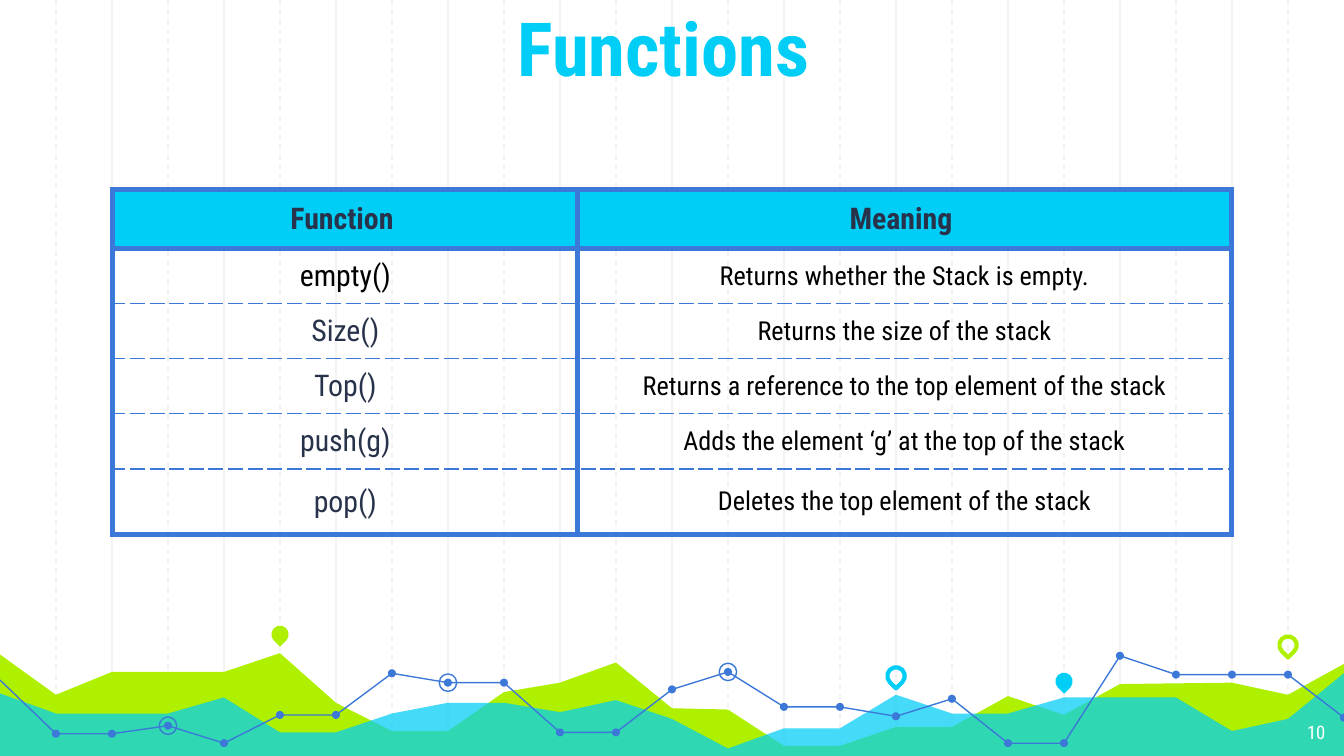
"""Build the Functions slide: a table of stack functions over a chart-like landscape."""
from lxml.etree import SubElement
from pptx import Presentation
from pptx.dml.color import RGBColor
from pptx.enum.dml import MSO_LINE
from pptx.enum.shapes import MSO_CONNECTOR, MSO_SHAPE
from pptx.enum.text import MSO_ANCHOR, PP_ALIGN
from pptx.oxml import parse_xml
from pptx.oxml.ns import nsdecls, qn
from pptx.util import Inches, Pt

THEME = {
    "font": "Roboto Condensed",
    "cyan": "00CEF6", "lime": "AFF000", "blue": "3C78D8", "navy": "28324A",
    "black": "000000", "white": "FFFFFF", "guide": "F3F3F3",
    "title": 40, "function": 16, "meaning": 14, "number": 10,
    "thin": 0.75, "pin": 2.25, "thick": 3,
}

TITLE = "Functions "
PAGE_NUMBER = "10"
HEADER = ("Function ", "Meaning ")
FUNCTIONS = [
    ("empty()", "Returns whether the Stack is empty."),
    ("Size()", "Returns the size of the stack"),
    ("Top()", "Returns a reference to the top element of the stack"),
    ("push(g)", "Adds the element ‘g’ at the top of the stack"),
    ("pop()", "Deletes the top element of the stack"),
]
COLUMN_WIDTHS = (3.46, 4.86)
ROW_HEIGHTS = (0.44, 0.41, 0.41, 0.41, 0.41, 0.49)

LIME_HILLS = {
    0: 4.87, 1: 5.17, 2: 5, 4: 5, 5: 4.86, 6: 5.23, 7: 5.44, 8: 5.44, 9: 5.15,
    10: 5.08, 11: 4.93, 12: 5.27, 13: 5.28, 14: 5.55, 15: 5.55, 16: 5.41,
    17: 5.41, 18: 5.18, 19: 5.32, 20: 5.09, 22: 5.08, 23: 5.17, 24: 4.94,
}
CYAN_HILLS = {
    0: 5.16, 1: 5.31, 3: 5.31, 4: 5.19, 5: 5.45, 6: 5.45, 7: 5.31, 8: 5.23,
    9: 5.23, 10: 5.3, 11: 5.21, 12: 5.35, 13: 5.57, 14: 5.42, 15: 5.42,
    16: 5.17, 17: 5.31, 18: 5.31, 19: 5.19, 21: 5.19, 22: 5.44, 23: 5.35, 24: 5.01,
}
TREND = [5.06, 5.46, 5.46, 5.4, 5.53, 5.32, 5.32, 5.01, 5.08, 5.08, 5.45, 5.45, 5.13,
         5, 5.26, 5.26, 5.33, 5.2, 5.53, 5.53, 4.88, 5.02, 5.02, 5.02, 5.34]
TREND_BREAKS = (0, 11, 20, 24)
RINGED = (3, 8, 13)
PINS = [(5, 4.72, "lime", True), (16, 5.03, "cyan", False),
        (19, 5.07, "cyan", True), (23, 4.8, "lime", False)]

WIDTH = 10
HEIGHT = WIDTH * 9 / 16
STEPS = 24
STEP = WIDTH / STEPS
GROUND = 5.64
DOT, MARK = 0.06, 0.13


def color(name):
    return RGBColor.from_string(THEME[name])


def paint(shape, fill=None, line=None, weight="thin"):
    shape.shadow.inherit = False
    if fill:
        shape.fill.solid()
        shape.fill.fore_color.rgb = color(fill)
    else:
        shape.fill.background()
    if line:
        shape.line.color.rgb = color(line)
        shape.line.width = Pt(THEME[weight])
    else:
        shape.line.fill.background()
    return shape


def add_guide(slide, step):
    x = Inches(step * STEP)
    guide = slide.shapes.add_connector(MSO_CONNECTOR.STRAIGHT, x, 0, x, Inches(5.65))
    guide.line.color.rgb = color("guide")
    guide.line.width = Pt(THEME["thin"])
    if step % 2:
        guide.line.dash_style = MSO_LINE.DASH
    SubElement(guide.element.spPr, qn("a:effectLst"))


def add_path(slide, points, closed):
    start, *rest = [(Inches(x), Inches(y)) for x, y in points]
    builder = slide.shapes.build_freeform(*start)
    builder.add_line_segments(rest, close=closed)
    return builder.convert_to_shape()


def add_hills(slide, ridge, fill):
    points = [(step * STEP, y) for step, y in ridge.items()]
    return paint(add_path(slide, points + [(WIDTH, GROUND), (0, GROUND)], True), fill)


def add_mark(slide, preset, step, y, size):
    return slide.shapes.add_shape(preset, Inches(step * STEP - size / 2), Inches(y - size / 2),
                                  Inches(size), Inches(size))


def write(frame, words, size, ink, align, bold=False):
    frame.word_wrap = True
    frame.text = words
    paragraph = frame.paragraphs[0]
    paragraph.alignment = align
    paragraph.font.name = THEME["font"]
    paragraph.font.size = Pt(THEME[size])
    paragraph.font.bold = bold
    paragraph.font.color.rgb = color(ink)


def add_label(slide, box, words, size, ink, align, anchor, bold=False):
    frame = slide.shapes.add_textbox(*map(Inches, box)).text_frame
    frame.margin_left = frame.margin_right = Inches(0.1)
    frame.margin_top = frame.margin_bottom = Inches(0.1)
    frame.vertical_anchor = anchor
    write(frame, words, size, ink, align, bold)


def set_borders(cell, dashed_sides):
    properties = cell._tc.get_or_add_tcPr()
    for place, side in enumerate("LRTB"):
        dashed = side in dashed_sides
        width = Pt(THEME["thin" if dashed else "thick"])
        properties.insert(place, parse_xml(
            f'<a:ln{side} {nsdecls("a")} w="{width}"><a:solidFill><a:srgbClr val="{THEME["blue"]}"/>'
            f'</a:solidFill><a:prstDash val="{"dash" if dashed else "solid"}"/></a:ln{side}>'))


def add_function_table(slide):
    rows = [HEADER, *FUNCTIONS]
    last = len(rows) - 1
    table = slide.shapes.add_table(
        len(rows), len(HEADER), Inches(0.84), Inches(1.41),
        Inches(sum(COLUMN_WIDTHS)), Inches(sum(ROW_HEIGHTS))).table
    table.first_row = table.horz_banding = False
    for column, width in zip(table.columns, COLUMN_WIDTHS):
        column.width = Inches(width)
    for r, (row, height) in enumerate(zip(rows, ROW_HEIGHTS)):
        table.rows[r].height = Inches(height)
        for c, words in enumerate(row):
            cell = table.cell(r, c)
            cell.vertical_anchor = MSO_ANCHOR.MIDDLE
            cell.margin_left = cell.margin_right = Inches(0.1)
            cell.margin_top = cell.margin_bottom = Inches(0.07)
            if r == 0:
                cell.fill.solid()
                cell.fill.fore_color.rgb = color("cyan")
            else:
                cell.fill.background()
            size = "meaning" if r and c else "function"
            ink = "black" if r == 1 or (r and c) else "navy"
            write(cell.text_frame, words, size, ink, PP_ALIGN.CENTER, r == 0)
            set_borders(cell, ("T" if r > 1 else "") + ("B" if 0 < r < last else ""))


def add_landscape(slide):
    for step in [*range(2, STEPS, 2), *range(1, STEPS, 2)]:
        add_guide(slide, step)
    add_hills(slide, LIME_HILLS, "lime")
    cyan_hills = add_hills(slide, CYAN_HILLS, "cyan")
    tint = cyan_hills.element.spPr.find(qn("a:solidFill"))[0]
    SubElement(tint, qn("a:alpha"), val="73000")
    for first, final in zip(TREND_BREAKS, TREND_BREAKS[1:]):
        points = [(step * STEP, TREND[step]) for step in range(first, final + 1)]
        paint(add_path(slide, points, False), line="blue")
    for step, y in enumerate(TREND[1:], 1):
        paint(add_mark(slide, MSO_SHAPE.OVAL, step, y, DOT), "blue")
    for step in RINGED:
        paint(add_mark(slide, MSO_SHAPE.OVAL, step, TREND[step], MARK), line="blue")
    for step, y, tone, solid in PINS:
        pin = add_mark(slide, MSO_SHAPE.TEAR, step, y, MARK)
        pin.rotation = 135
        paint(pin, tone if solid else None, None if solid else tone, "pin")


def main():
    deck = Presentation()
    deck.slide_width, deck.slide_height = Inches(WIDTH), Inches(HEIGHT)
    slide = deck.slides.add_slide(deck.slide_layouts[6])
    add_landscape(slide)
    add_label(slide, (9.36, 5.28, 0.6, 0.35), PAGE_NUMBER, "number", "white",
              PP_ALIGN.RIGHT, MSO_ANCHOR.TOP)
    add_label(slide, (0, 0, WIDTH, 0.78), TITLE, "title", "cyan",
              PP_ALIGN.CENTER, MSO_ANCHOR.BOTTOM, True)
    add_function_table(slide)
    deck.save("out.pptx")


if __name__ == "__main__":
    main()
